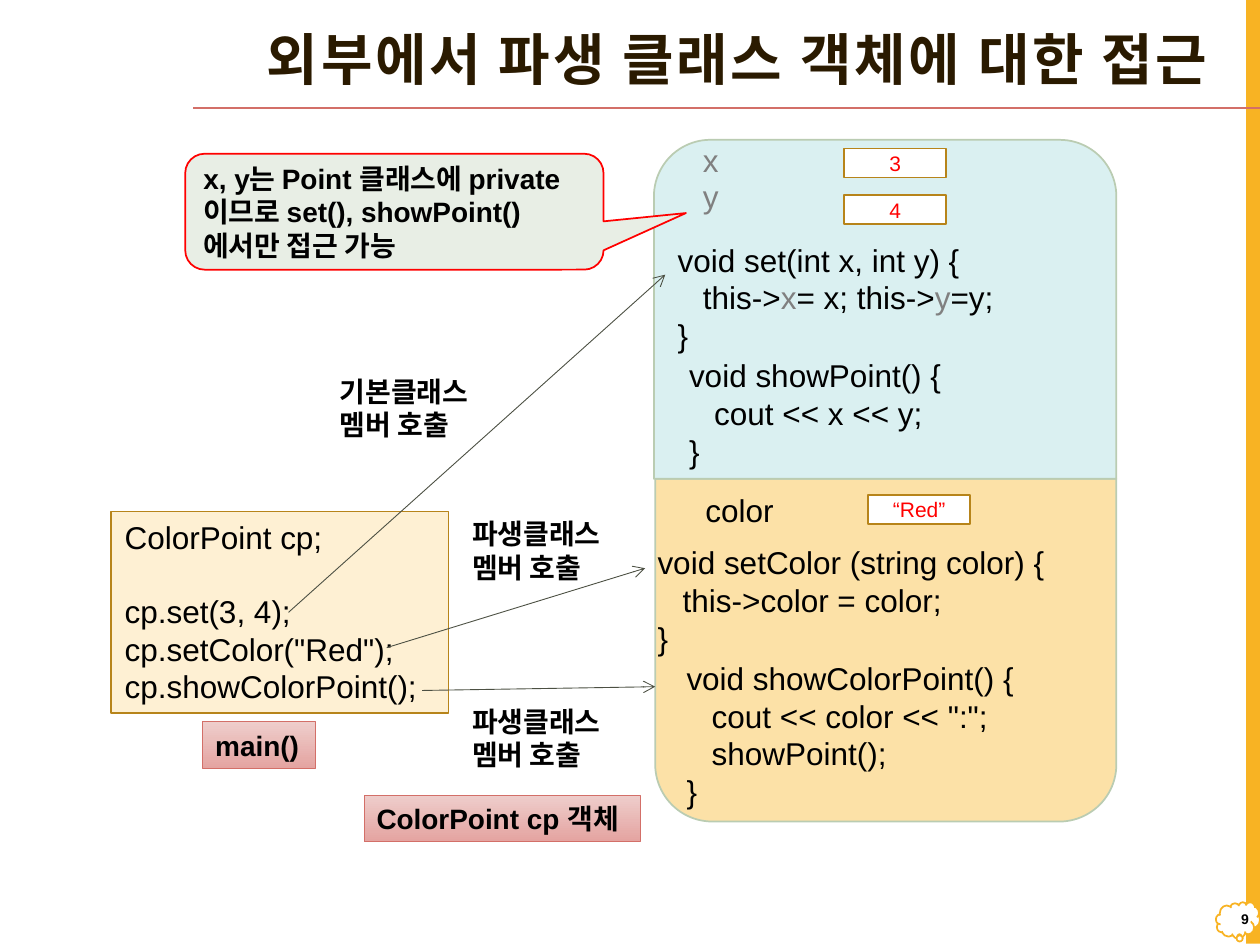
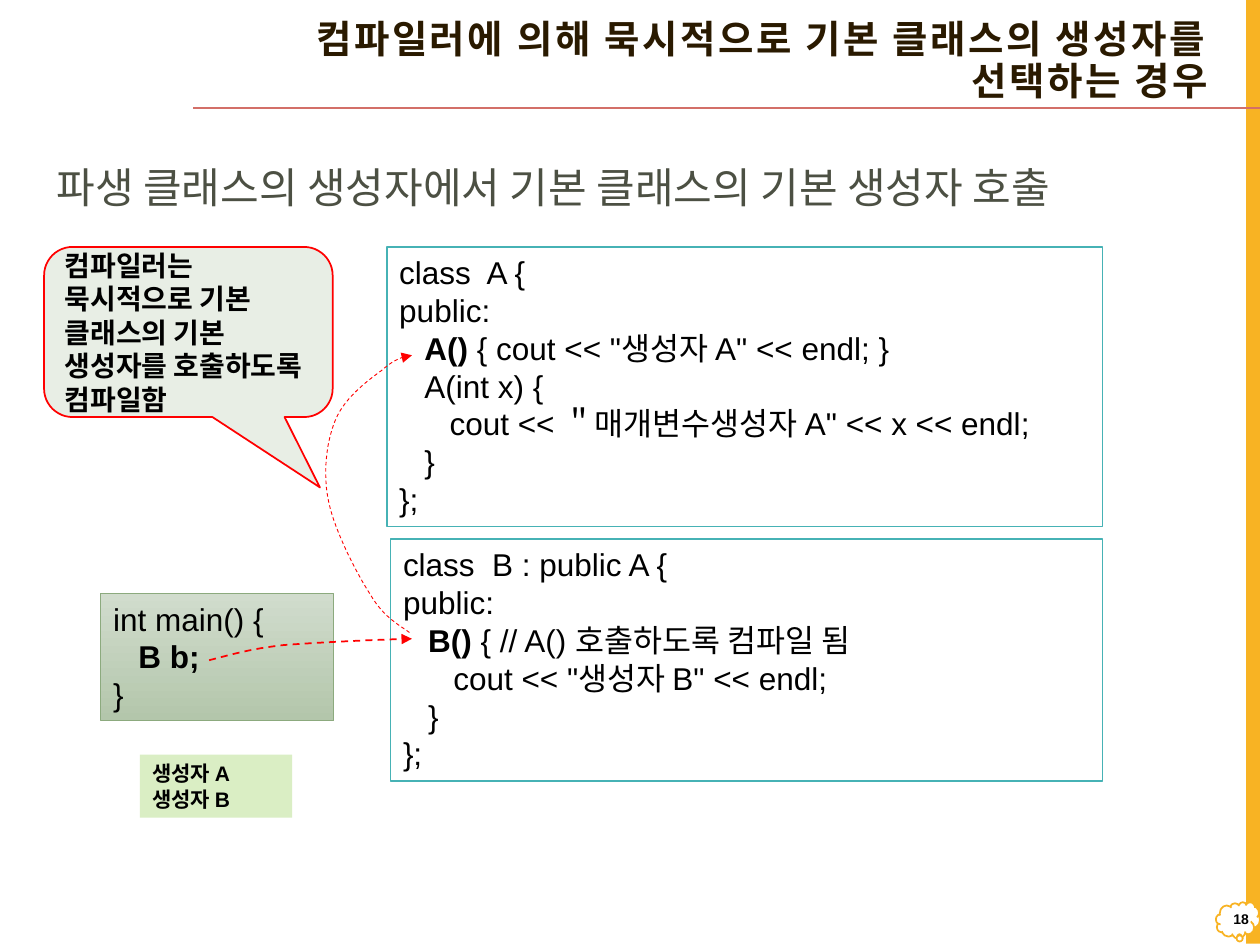
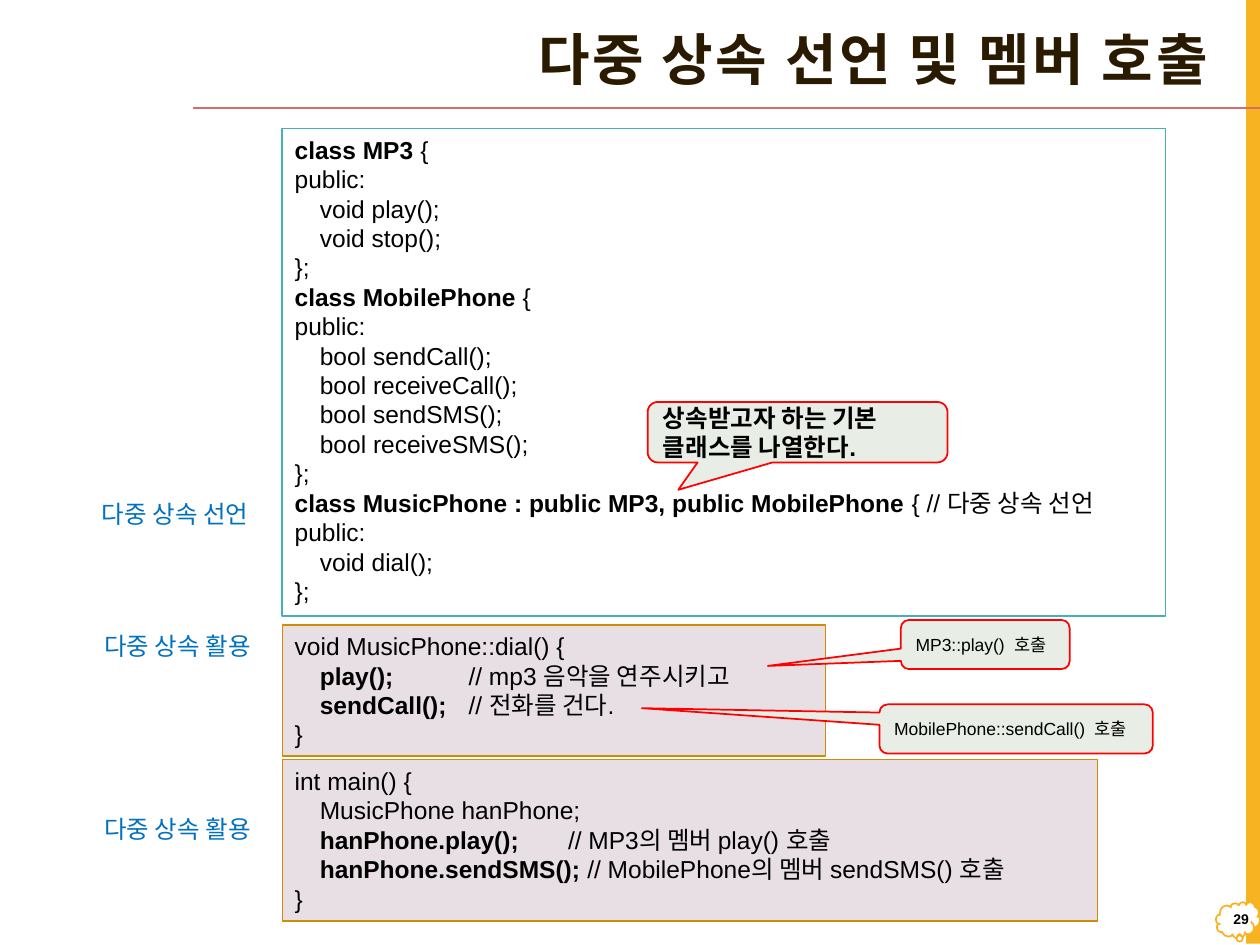
from lxml.etree import SubElement
from pptx import Presentation
from pptx.dml.color import RGBColor
from pptx.enum.dml import MSO_LINE
from pptx.enum.shapes import MSO_CONNECTOR, MSO_SHAPE
from pptx.enum.text import MSO_ANCHOR, PP_ALIGN
from pptx.oxml.ns import qn
from pptx.util import Inches, Pt

WIDTH, HEIGHT = 10, 7.5
RED, BLACK, GRAY, INK, GOLD, AMBER = "FF0000", "000000", "808080", "4C5043", "B7841A", "F8B323"
CODE_TABS = (0.2, 0.4)

STYLES = {
    "plain": {},
    "band": {"shape": MSO_SHAPE.RECTANGLE, "fill": AMBER},
    "cloud": {"shape": MSO_SHAPE.CLOUD_CALLOUT, "fill": "FFFFFF", "line": (AMBER, 1)},
    "main": {"shape": MSO_SHAPE.RECTANGLE, "fill": "FEF0D3", "line": (GOLD, 1)},
    "value": {"shape": MSO_SHAPE.RECTANGLE, "fill": "FFFFFF", "line": (GOLD, 1)},
    "base": {"shape": MSO_SHAPE.ROUND_2_SAME_RECTANGLE, "fill": "DAF0F1", "line": ("BACCB2", 1)},
    "derived": {"shape": MSO_SHAPE.ROUND_2_SAME_RECTANGLE, "fill": "FCE1A7", "line": ("BACCB2", 1)},
    "tag": {"shape": MSO_SHAPE.RECTANGLE, "fill": ("EECDCB", "E4A4A1"), "line": ("D36F68", 0.5)},
    "green": {"shape": MSO_SHAPE.RECTANGLE, "fill": ("D1DCCD", "B3C6AB"), "line": ("8CAA7E", 0.5)},
    "output": {"shape": MSO_SHAPE.RECTANGLE, "fill": "DAEEC4"},
    "class": {"shape": MSO_SHAPE.RECTANGLE, "fill": "FFFFFF", "line": ("46B2B5", 1)},
    "usage": {"shape": MSO_SHAPE.RECTANGLE, "fill": "E7DFE4", "line": ("CE8D07", 0.75)},
    "callout": {"shape": MSO_SHAPE.ROUNDED_RECTANGULAR_CALLOUT, "fill": "E8EEE5", "line": (RED, 1)},
}


def bold(text):
    return text, {"bold": True}


def gray(text):
    return text, {"color": GRAY}


OBJECT_CODE = [
    ((5.28, 1.86, 3.11, 1.01), [
        "void set(int x, int y) {",
        ("\tthis->", gray("x"), "= x; this->", gray("y"), "=y;"),
        "}"]),
    ((5.37, 2.78, 3.32, 1.01), ["void showPoint() {", "\tcout << x << y;", "}"]),
    ((5.5, 3.85, 1.33, 0.4), ["color"]),
    ((5.35, 5.18, 3.25, 1.31), [
        "void showColorPoint() {", "\tcout << color << \":\";", "\tshowPoint();", "}"]),
    ((5.12, 4.26, 3.41, 1.01), [
        "void setColor (string color) {", "\tthis->color = color;", "}"]),
    ((5.48, 1.07, 0.76, 0.4), [(gray("x"),)]),
    ((5.48, 1.36, 0.76, 0.4), [(gray("y"),)]),
]
OBJECT_VALUES = [(6.7, 1.18, "3"), (6.7, 1.55, "4"), (6.89, 3.93, "“Red”")]
MAIN_CALLS = ["ColorPoint cp;", "cp.set(3, 4);", "cp.setColor(\"Red\");", "cp.showColorPoint();"]
CALL_LABELS = [(3.65, 5.54, "파생클래스"), (3.65, 4.05, "파생클래스"), (2.6, 2.92, "기본클래스")]
CALL_ARROWS = [
    ((2.29, 4.86), (5.28, 2.18)),
    ((3.07, 5.14), (5.12, 4.51)),
    ((3.35, 5.48), (5.2, 5.45)),
]
OBJECT_TAGS = [
    ((1.61, 5.73, 0.89, 0.37), "main()"),
    ((2.89, 6.31, 2.19, 0.37), "ColorPoint cp 객체"),
]

CONSTRUCTOR_CODE = [
    ("class", (3.07, 1.96, 5.68, 2.22), [
        "class  A {",
        "public:",
        ("\t", bold("A() "), "{ cout << \"생성자 A\" << endl; }"),
        "\tA(int x) {",
        "\t\tcout << ＂매개변수생성자 A\" << x << endl;",
        "\t}",
        "};"]),
    ("class", (3.1, 4.28, 5.65, 1.92), [
        "class  B : public A {",
        "public:",
        ("\t", bold("B() "), "{ // A() 호출하도록 컴파일 됨"),
        "\t\tcout << \"생성자 B\" << endl;",
        "\t}",
        "};"]),
    ("green", (0.8, 4.71, 1.85, 1.01), ["int main() {", ("\t", bold("B b;")), "}"]),
]
CALL_CURVES = [
    (0.5, [(3.25, 5.02), (3.15, 4.95), (3.04, 4.89), (2.94, 4.72),
           (2.83, 4.55), (2.66, 4.22), (2.61, 3.99),
           (2.56, 3.76), (2.59, 3.51), (2.66, 3.34),
           (2.73, 3.16), (2.92, 3.02), (3.03, 2.94),
           (3.13, 2.85), (3.2, 2.83), (3.27, 2.82)]),
    (1, [(1.66, 5.24), (1.82, 5.2), (1.98, 5.15), (2.25, 5.12),
         (2.52, 5.1), (2.9, 5.08), (3.27, 5.07)]),
]

PHONE_CODE = [
    ("class", (2.24, 1.02, 7.01, 3.87), CODE_TABS, [
        (bold("class MP3 "), "{"),
        "public:",
        "\tvoid play();",
        "\tvoid stop();",
        "};",
        (bold("class MobilePhone "), "{"),
        "public:",
        "\tbool sendCall();",
        "\tbool receiveCall();",
        "\tbool sendSMS();",
        "\tbool receiveSMS();",
        "};",
        (bold("class MusicPhone : public MP3, public MobilePhone "), "{ // 다중 상속 선언"),
        "public:",
        "\tvoid dial();",
        "};"]),
    ("usage", (2.24, 4.96, 4.31, 1.04), (0.2, 1.38), [
        "void MusicPhone::dial() {",
        ("\t", bold("play();\t"), "// mp3 음악을 연주시키고"),
        ("\t", bold("sendCall();\t"), "// 전화를 건다."),
        "}"]),
    ("usage", (2.24, 6.03, 6.47, 1.28), (0.2, 2.17), [
        "int main() {",
        "\tMusicPhone hanPhone;",
        ("\t", bold("hanPhone.play();\t"), "// MP3의 멤버 play() 호출"),
        ("\t", bold("hanPhone.sendSMS(); "), "// MobilePhone의 멤버 sendSMS() 호출"),
        "}"]),
]
PHONE_CALLOUTS = [
    ((5.14, 3.19, 2.38, 0.48), (-0.398, 0.953), "상속받고자 하는 기본 클래스를 나열한다.",
     {"size": 14, "bold": True}),
    ((7.15, 4.92, 1.34, 0.39), (-1.288, 0.436), "MP3::play()  호출", {"size": 10}),
    ((6.98, 5.59, 2.17, 0.39), (-1.369, -0.422), "MobilePhone::sendCall()  호출", {"size": 10}),
]
PHONE_LABELS = [(0.71, 3.91, "다중 상속 선언"), (0.73, 4.96, "다중 상속 활용"), (0.73, 6.41, "다중 상속 활용")]


def color(value):
    return RGBColor.from_string(value)


def paint(shape, fill=None, line=None):
    if fill is None:
        shape.fill.background()
    elif isinstance(fill, tuple):
        shape.fill.gradient()
        shape.fill.gradient_angle = 270
        for stop, value in zip(shape.fill.gradient_stops, fill):
            stop.color.rgb = color(value)
    else:
        shape.fill.solid()
        shape.fill.fore_color.rgb = color(fill)
    if line:
        draw_line(shape, *line)
    else:
        shape.line.fill.background()


def draw_line(shape, value, width, arrow=None, dash=None):
    shape.line.color.rgb = color(value)
    shape.line.width = Pt(width)
    if dash:
        shape.line.dash_style = dash
    if arrow:
        SubElement(shape.line._get_or_add_ln(), qn("a:tailEnd"), type=arrow)


def write_run(paragraph, text, size=18, name="Arial", color_value=BLACK, spacing=0, **formats):
    run = paragraph.add_run()
    run.text = text
    run.font.color.rgb = color(formats.pop("color", color_value))
    for key, value in {"size": Pt(size), "name": name, **formats}.items():
        setattr(run.font, key, value)
    if spacing:
        run.font._element.set("spc", str(int(spacing * 100)))


def write(shape, lines, text, anchor=MSO_ANCHOR.TOP, align=PP_ALIGN.LEFT, wrap=True,
          tabs=(), line_spacing=None, gaps=None):
    frame = shape.text_frame
    frame.word_wrap = wrap
    frame.vertical_anchor = anchor
    for index, line in enumerate(lines):
        paragraph = frame.paragraphs[0] if index == 0 else frame.add_paragraph()
        if tabs:
            tab_list = SubElement(paragraph._p.get_or_add_pPr(), qn("a:tabLst"))
            for position in tabs:
                SubElement(tab_list, qn("a:tab"), pos=str(Inches(position)), algn="l")
        paragraph.alignment = align
        paragraph.line_spacing = line_spacing
        if gaps and index in gaps:
            paragraph.space_before = Pt(gaps[index])
        for run in (line,) if isinstance(line, str) else line:
            content, changes = (run, {}) if isinstance(run, str) else run
            write_run(paragraph, content, **{**text, **changes})


def add_box(slide, style, place, lines=(), text=None, adjust=(), **layout):
    look = dict(STYLES[style])
    preset = look.pop("shape", None)
    place = [Inches(length) for length in place]
    if preset is None:
        shape = slide.shapes.add_textbox(*place)
    else:
        shape = slide.shapes.add_shape(preset, *place)
        shape.shadow.inherit = False
        paint(shape, **look)
    for index, value in enumerate(adjust):
        shape.adjustments[index] = value
    if lines:
        write(shape, lines, text or {}, **layout)
    return shape


def add_line(slide, start, end, value, width, arrow=None):
    ends = [Inches(length) for length in (*start, *end)]
    connector = slide.shapes.add_connector(MSO_CONNECTOR.STRAIGHT, *ends)
    draw_line(connector, value, width, arrow)
    SubElement(connector._element.spPr, qn("a:effectLst"))


def curve_points(controls, steps=12):
    for first in range(0, len(controls) - 1, 3):
        segment = controls[first:first + 4]
        for step in range(1, steps + 1):
            t = step / steps
            weights = ((1 - t) ** 3, 3 * t * (1 - t) ** 2, 3 * t * t * (1 - t), t ** 3)
            yield tuple(Inches(sum(weight * point[axis] for weight, point in zip(weights, segment)))
                        for axis in (0, 1))


def add_curve(slide, controls, width):
    start = [Inches(length) for length in controls[0]]
    builder = slide.shapes.build_freeform(*start)
    builder.add_line_segments(list(curve_points(controls)), close=False)
    shape = builder.convert_to_shape()
    shape.shadow.inherit = False
    shape.fill.background()
    draw_line(shape, RED, width, "triangle", MSO_LINE.DASH)


def add_callout(slide, place, tip, words, text):
    add_box(slide, "callout", place, [words], text, (*tip, 0.167), anchor=MSO_ANCHOR.MIDDLE)


def start_slide(presentation, title, number, size=32, name="Arial Narrow"):
    slide = presentation.slides.add_slide(presentation.slide_layouts[6])
    add_box(slide, "band", (WIDTH - 0.11, -0.01, 0.11, HEIGHT))
    add_box(slide, "cloud", (9.65, 7.16, 0.35, 0.29), adjust=(0.034, 0.431))
    add_line(slide, (WIDTH, 0.86), (1.53, 0.86), "D36F68", 1)
    right = {"anchor": MSO_ANCHOR.MIDDLE, "align": PP_ALIGN.RIGHT}
    add_box(slide, "plain", (1.32, 0.13, 8.37, 0.73), [title],
            {"size": size, "name": name, "color": "2A1A00", "bold": True, "spacing": 1.5},
            line_spacing=0.9, **right)
    add_box(slide, "plain", (9.66, 7.12, 0.35, 0.35), [number], {"size": 8, "bold": True}, **right)
    return slide


def build_object_access(presentation):
    slide = start_slide(presentation, "외부에서 파생 클래스 객체에 대한 접근", "9")
    strong = {"size": 16, "bold": True}
    add_box(slide, "main", (0.88, 4.06, 2.68, 1.6))
    add_box(slide, "plain", (0.89, 4.06, 2.52, 1.62), MAIN_CALLS, wrap=False, gaps={1: 20.7})
    add_box(slide, "derived", (5.2, 3.8, 3.66, 2.72)).rotation = 180
    add_box(slide, "base", (5.19, 1.11, 3.67, 2.69))
    for place, words in OBJECT_TAGS:
        add_box(slide, "tag", place, [words], strong)
    for place, lines in OBJECT_CODE:
        add_box(slide, "plain", place, lines, tabs=CODE_TABS)
    for left, top, value in OBJECT_VALUES:
        add_box(slide, "value", (left, top, 0.81, 0.23), [value], {"size": 12, "color": RED},
                anchor=MSO_ANCHOR.MIDDLE, align=PP_ALIGN.CENTER)
    add_callout(slide, (1.47, 1.22, 3.32, 0.92), (0.697, 0.012),
                "x, y는 Point 클래스에 private이므로 set(), showPoint()에서만 접근 가능", strong)
    for left, top, owner in CALL_LABELS:
        add_box(slide, "plain", (left, top, 1.5, 0.64), [owner, "멤버 호출"], strong)
    for start, end in CALL_ARROWS:
        add_line(slide, start, end, INK, 0.5, "arrow")


def build_constructor_choice(presentation):
    slide = start_slide(presentation, "컴파일러에 의해 묵시적으로 기본 클래스의 생성자를 선택하는 경우",
                        "18", 22, "Arial")
    for style, place, lines in CONSTRUCTOR_CODE:
        add_box(slide, style, place, lines, tabs=CODE_TABS)
    add_box(slide, "output", (1.11, 5.99, 1.21, 0.5), ["생성자 A", "생성자 B"],
            {"size": 12, "bold": True})
    add_callout(slide, (0.35, 1.96, 2.29, 1.35), (0.456, 0.914),
                "컴파일러는 묵시적으로 기본 클래스의 기본 생성자를 호출하도록 컴파일함",
                {"size": 16, "bold": True})
    for width, controls in CALL_CURVES:
        add_curve(slide, controls, width)
    add_box(slide, "plain", (0.35, 1.23, 9.3, 0.5),
            ["파생 클래스의 생성자에서 기본 클래스의 기본 생성자 호출"], {"size": 24, "color": INK})


def build_multiple_inheritance(presentation):
    slide = start_slide(presentation, "다중 상속 선언 및 멤버 호출", "29")
    for style, place, tabs, lines in PHONE_CODE:
        add_box(slide, style, place, lines, {"size": 14}, tabs=tabs)
    for callout in PHONE_CALLOUTS:
        add_callout(slide, *callout)
    for left, top, words in PHONE_LABELS:
        add_box(slide, "plain", (left, top, 1.52, 0.34), [words],
                {"size": 14, "color": "0070C0"}, wrap=False)


def main():
    presentation = Presentation()
    presentation.slide_width = Inches(WIDTH)
    presentation.slide_height = Inches(HEIGHT)
    build_object_access(presentation)
    build_constructor_choice(presentation)
    build_multiple_inheritance(presentation)
    presentation.save("out.pptx")


if __name__ == "__main__":
    main()
